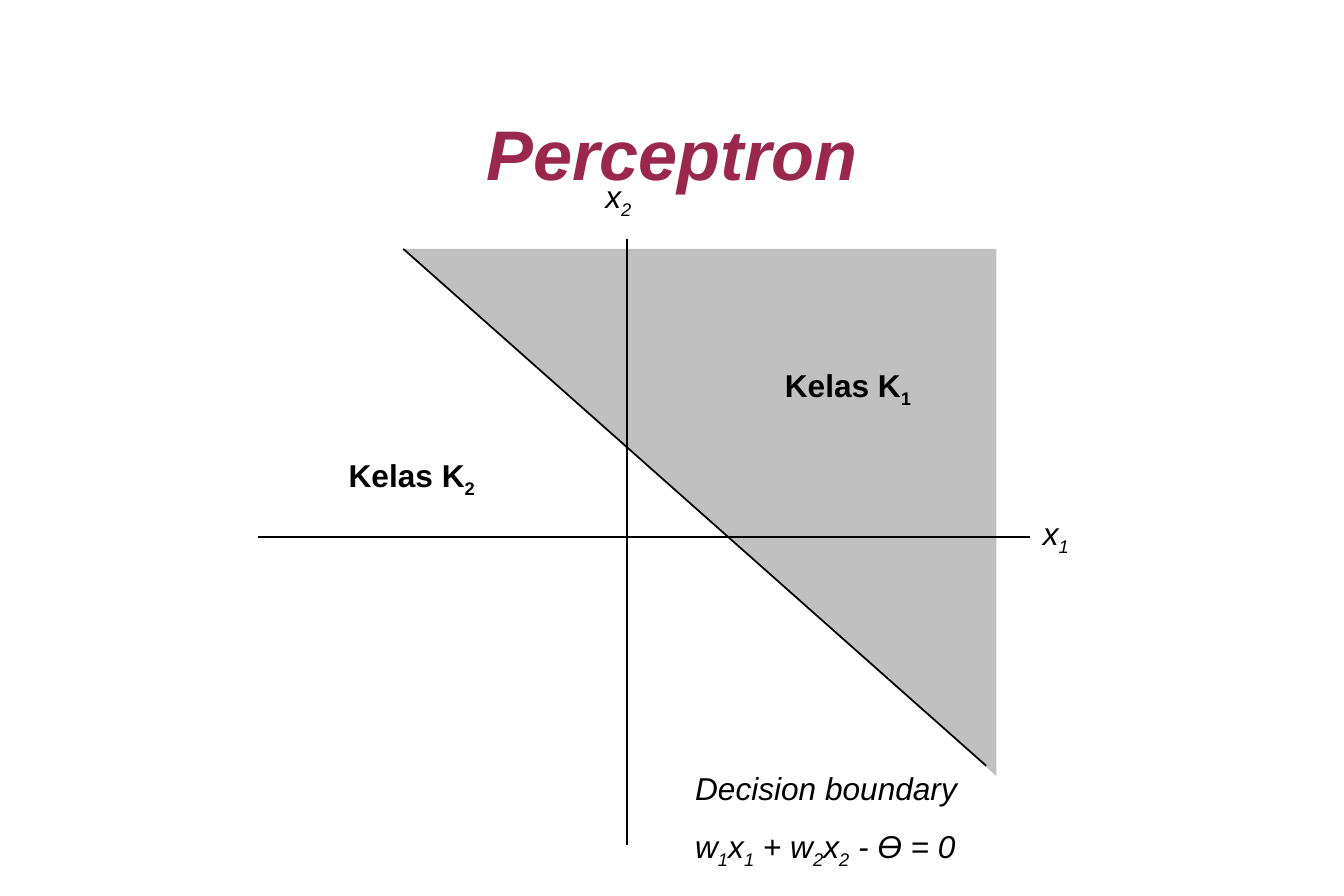
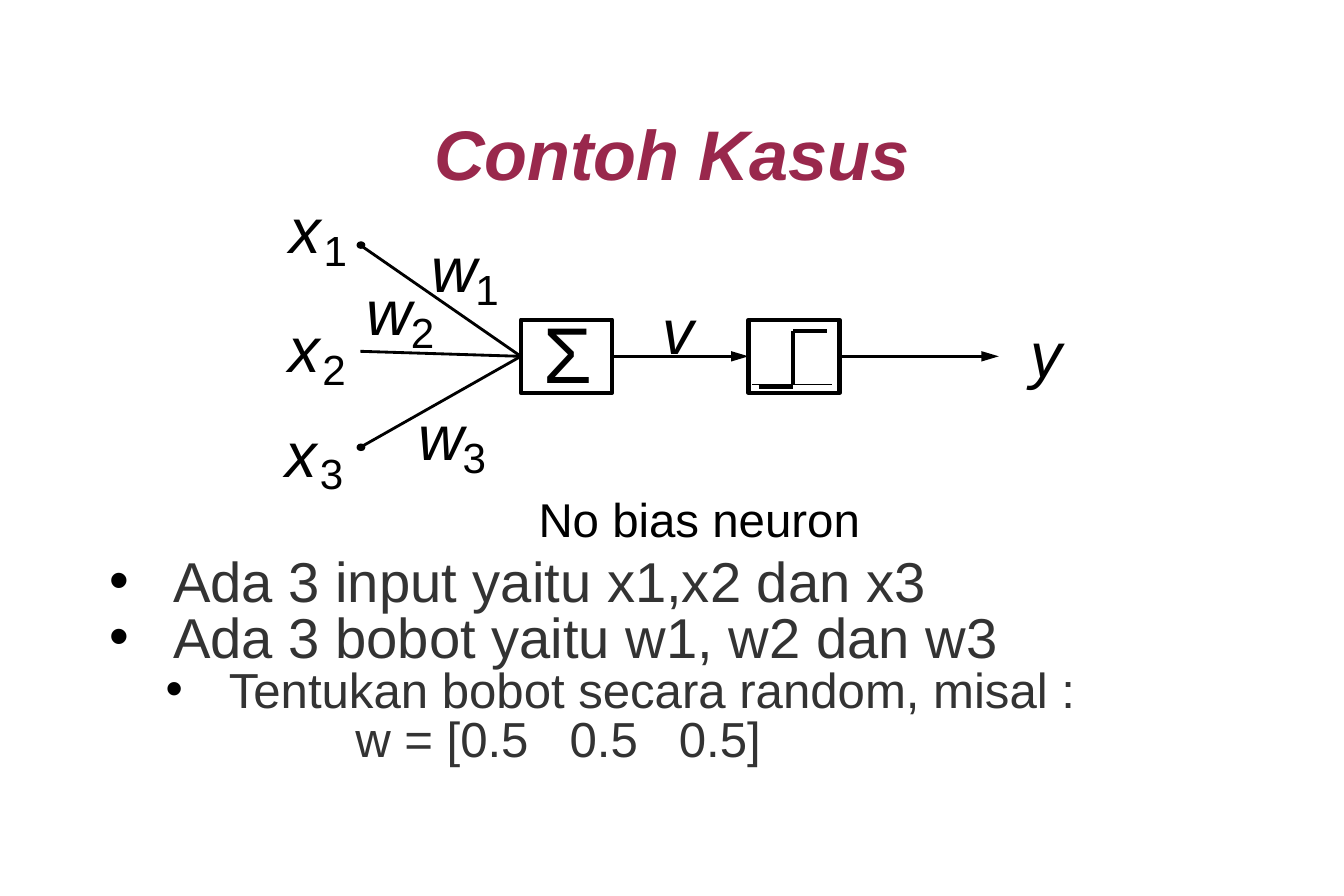
from typing import NamedTuple

from lxml.etree import SubElement
from pptx import Presentation
from pptx.dml.color import RGBColor
from pptx.enum.shapes import MSO_CONNECTOR, MSO_SHAPE
from pptx.enum.text import MSO_ANCHOR, PP_ALIGN
from pptx.oxml.ns import qn
from pptx.util import Inches, Pt

BLACK = RGBColor(0x00, 0x00, 0x00)
CHARCOAL = RGBColor(0x33, 0x33, 0x33)
CRIMSON = RGBColor(0x99, 0x28, 0x4C)
SILVER = RGBColor(0xC0, 0xC0, 0xC0)

TITLE = {"size": Pt(40), "bold": True, "italic": True}
AXIS = {"size": Pt(18), "italic": True}
REGION = {"size": Pt(18), "bold": True}
SYMBOL = {"size": Pt(36), "italic": True}
INDEX = {"size": Pt(24)}
SUM = {"size": Pt(45)}
CAPTION = {"size": Pt(27)}

NO_INSETS = (0, 0, 0, 0)
LABEL_INSETS = (0.1, 0.05, 0.1, 0.05)


class Box(NamedTuple):
    left: float
    top: float
    width: float
    height: float

    def inner(self, x, y, width, height):
        return Box(self.left + x, self.top + y, width, height)

    def point(self, x, y):
        return self.left + x, self.top + y

    def lengths(self):
        return [Inches(value) for value in self]


def add_spans(para, text, style, color=BLACK):
    """Write text in which the character after each underscore is a subscript."""
    first, *rest = text.split("_")
    pieces = [(first, False)]
    for part in rest:
        pieces += [(part[:1], True), (part[1:], False)]
    for piece, lowered in pieces:
        if not piece:
            continue
        span = para.add_run()
        span.text = piece
        span.font.name = "Arial"
        span.font.color.rgb = color
        for name, value in style.items():
            setattr(span.font, name, value)
        if lowered:
            span._r.get_or_add_rPr().set("baseline", "-25000")


def add_frame(page, box, insets=NO_INSETS, wrap=True):
    frame = page.shapes.add_textbox(*box.lengths()).text_frame
    frame.word_wrap = wrap
    for side, inset in zip(("left", "top", "right", "bottom"), insets):
        setattr(frame, f"margin_{side}", Inches(inset))
    return frame


def add_label(page, box, lines, style, insets=NO_INSETS, wrap=False):
    frame = add_frame(page, box, insets, wrap)
    for number, line in enumerate(lines):
        para = frame.add_paragraph() if number else frame.paragraphs[0]
        para.line_spacing = 0.93
        if number:
            para.space_before = Pt(11.2)
        add_spans(para, line, style)


def add_line(page, start, end, weight, arrow=False):
    line = page.shapes.add_connector(
        MSO_CONNECTOR.STRAIGHT, *[Inches(value) for value in (*start, *end)])
    line.line.color.rgb = BLACK
    line.line.width = Pt(weight)
    if arrow:
        SubElement(line.line._get_or_add_ln(), qn("a:tailEnd"),
                   type="triangle", w="med", len="lg")
    SubElement(line._element.spPr, qn("a:effectLst"))
    return line


def add_figure(page, kind, box, fill=None, weight=None):
    figure = page.shapes.add_shape(kind, *box.lengths())
    figure.shadow.inherit = False
    if fill is None:
        figure.fill.background()
    else:
        figure.fill.solid()
        figure.fill.fore_color.rgb = fill
    if weight is None:
        figure.line.fill.background()
    else:
        figure.line.color.rgb = BLACK
        figure.line.width = Pt(weight)
    return figure


def add_page(deck, title):
    page = deck.slides.add_slide(deck.slide_layouts[6])
    frame = add_frame(page, Box(0.78, 0.66, 9.07, 1.17))
    frame.vertical_anchor = MSO_ANCHOR.MIDDLE
    para = frame.paragraphs[0]
    para.alignment = PP_ALIGN.CENTER
    para.line_spacing = 0.93
    add_spans(para, title, TITLE, CRIMSON)
    return page


def add_decision_plot(page, box):
    """Draw the axes, the two class regions and the boundary between them."""
    half_plane = add_figure(page, MSO_SHAPE.RIGHT_TRIANGLE,
                            box.inner(1.15, 0.62, 4.69, 4.17), SILVER)
    half_plane.rotation = 180
    for start, end, weight in (((0, 2.9), (6.11, 2.9), 0.75),
                               ((2.92, 0.54), (2.92, 5.34), 0.75),
                               ((1.15, 0.62), (5.76, 4.71), 1)):
        add_line(page, box.point(*start), box.point(*end), weight)
    for place, lines, style in (
            ((2.65, 0, 0.8, 0.42), ["x_2"], AXIS),
            ((6.11, 2.67, 0.8, 0.42), ["x_1"], AXIS),
            ((0.62, 2.21, 1.77, 0.42), ["Kelas K_2"], REGION),
            ((4.07, 1.5, 1.77, 0.42), ["Kelas K_1"], REGION),
            ((3.36, 4.71, 2.66, 0.86),
             ["Decision boundary", "w_1x_1 + w_2x_2 - Ө = 0"], AXIS)):
        add_label(page, box.inner(*place), lines, style, LABEL_INSETS, wrap=True)


def add_indexed_symbol(page, box, letter, number):
    """Write a large letter with its number low on the right."""
    width, shift = {"x": (0.25, 0.27), "w": (0.36, 0.35)}[letter]
    add_label(page, box.inner(0, 0, width, 0.56), [letter], SYMBOL)
    add_label(page, box.inner(shift, 0.25, 0.19, 0.37), [number], INDEX)


def add_step_curve(page, box):
    """Draw the threshold function inside its block."""
    for start, end, weight in (((0.03, 0.51), (0.66, 0.51), 0.5),
                               ((0.62, 0.09), (0.35, 0.09), 2.38),
                               ((0.35, 0.09), (0.35, 0.52), 2.38),
                               ((0.08, 0.53), (0.35, 0.53), 2.38)):
        add_line(page, box.point(*start), box.point(*end), weight)


def add_neuron(page, box):
    """Draw three weighted inputs, the sum, the threshold and the output."""
    sum_box = box.inner(1.86, 0.97, 0.72, 0.58)
    step_box = box.inner(3.66, 0.97, 0.72, 0.58)
    sum_block, step_block = [
        add_figure(page, MSO_SHAPE.RECTANGLE, place, weight=2.38)
        for place in (sum_box, step_box)]
    middle = sum_box.height / 2

    for input_y, dotted in ((0.38, True), (1.22, False), (1.98, True)):
        line = add_line(page, box.point(0.59, input_y),
                        sum_box.point(0, middle), 1.62)
        line.end_connect(sum_block, 1)
        if dotted:
            add_figure(page, MSO_SHAPE.OVAL,
                       box.inner(0.56, input_y - 0.03, 0.07, 0.06), BLACK)

    signal = add_line(page, sum_box.point(sum_box.width, middle),
                      step_box.point(0, middle), 1.62, arrow=True)
    signal.begin_connect(sum_block, 3)
    signal.end_connect(step_block, 1)
    output = add_line(page, step_box.point(step_box.width, middle),
                      box.point(5.64, 1.26), 1.62, arrow=True)
    output.begin_connect(step_block, 3)
    add_step_curve(page, step_box)

    for letter, number, x, y in (
            ("x", "1", 0.03, 0), ("x", "2", 0.02, 0.94), ("x", "3", 0, 1.77),
            ("w", "1", 1.15, 0.31), ("w", "2", 0.64, 0.65), ("w", "3", 1.05, 1.64)):
        add_indexed_symbol(page, box.inner(x, y, 0, 0), letter, number)
    for place, text, style in (
            ((2.04, 0.92, 0.37, 0.7), "Σ", SUM),
            ((2.98, 0.8, 0.25, 0.56), "v", SYMBOL),
            ((5.89, 0.98, 0.25, 0.56), "y", SYMBOL),
            ((2, 2.36, 2.8, 0.42), "No bias neuron", CAPTION)):
        add_label(page, box.inner(*place), [text], style)


def add_notes_list(page, box):
    """List the inputs and weights, ending with an indented vector."""
    frame = add_frame(page, box, (0, 0.03, 0, 0))
    for number, (pieces, size, level, margin, indent) in enumerate((
            (["Ada 3 input yaitu x1,x2 dan x3"], 32, 0, 0.5, -0.5),
            (["Ada 3 bobot yaitu w1, w2 dan w3"], 32, 0, 0.5, -0.5),
            (["Tentukan bobot secara random, misal :"], 28, 1, 0.94, -0.5),
            (["w = [0.5", " ", "0.5", " ", "0.5]"], 28, 1, 1.94, 0))):
        para = frame.add_paragraph() if number else frame.paragraphs[0]
        properties = para._p.get_or_add_pPr()
        properties.set("marL", str(Inches(margin)))
        properties.set("indent", str(Inches(indent)))
        if indent < 0:
            color = SubElement(properties, qn("a:buClr"))
            SubElement(color, qn("a:srgbClr"), val=str(BLACK))
            SubElement(properties, qn("a:buFont"), typeface="Arial")
            SubElement(properties, qn("a:buChar"), char="•")
        else:
            SubElement(properties, qn("a:buNone"))
        para.level = level
        para.line_spacing = 0.83
        for piece in pieces:
            add_spans(para, piece, {"size": Pt(size)}, CHARCOAL)
            if piece == " ":
                # Widen the gap between vector entries, in hundredths of a point.
                para.runs[-1]._r.get_or_add_rPr().set("spc", "1560")


def main():
    deck = Presentation()
    deck.slide_width = Inches(10.63)
    deck.slide_height = Inches(7.09)

    add_decision_plot(add_page(deck, "Perceptron"), Box(2.04, 1.35, 6.91, 5.57))

    example = add_page(deck, "Contoh Kasus")
    add_neuron(example, Box(2.26, 1.56, 6.14, 2.78))
    add_notes_list(example, Box(0.87, 4.38, 8.87, 1.71))

    deck.save("out.pptx")


if __name__ == "__main__":
    main()
